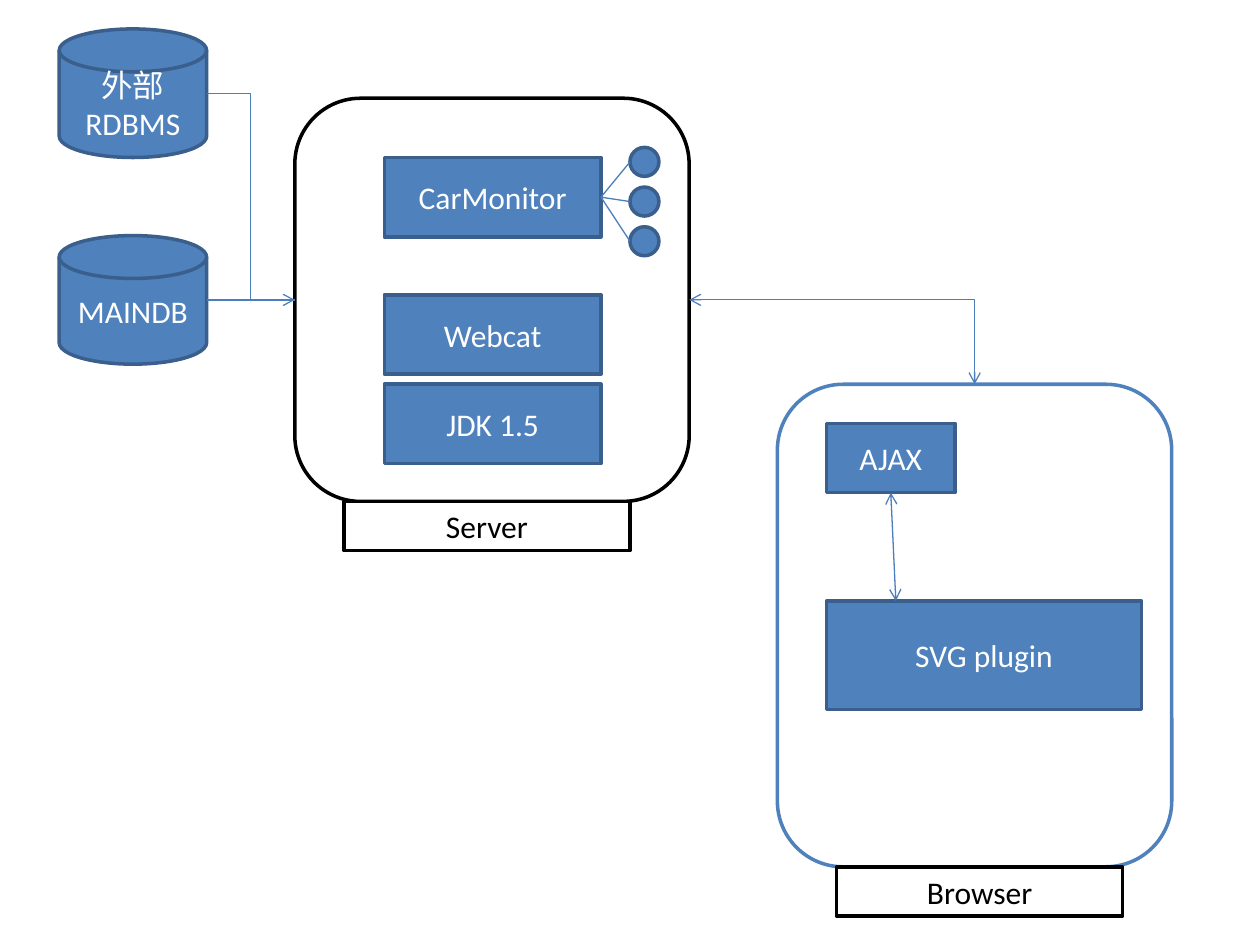
import pptx
import pptx.util
import pptx.dml.color
import pptx.enum.shapes
import pptx.enum.text
import pptx.oxml.ns
import lxml.etree

Inches, Pt = pptx.util.Inches, pptx.util.Pt
RGB = pptx.dml.color.RGBColor.from_string
MSO = pptx.enum.shapes.MSO_SHAPE
LINK = pptx.enum.shapes.MSO_CONNECTOR
qn = pptx.oxml.ns.qn

THEME = dict(font="Calibri", size=18, border=2, link_width=0.75, link="4B7EBC")
# style: fill, border, text
STYLES = dict(
    solid=("4F81BD", "3A5F8C", "FFFFFF"),
    plain=("FFFFFF", "000000", "000000"),
    frame=("FFFFFF", "4F81BD", "000000"),
)

# Content: boxes as (left, top, width, height)
SERVER = (2.34, 0.78, 3.13, 3.2)
BROWSER = (6.17, 3.05, 3.13, 3.83)
EXTERNAL_DB = (0.47, 0.23, 1.17, 1.02)
MAIN_DB = (0.47, 1.87, 1.17, 1.02)
MONITOR, WEB, JDK = [(3.05, top, 1.72, 0.63) for top in (1.25, 2.34, 3.05)]
AJAX = (6.56, 3.36, 1.02, 0.55)
PLUGIN = (6.56, 4.77, 2.5, 0.86)
CLIENTS = [(5, 1.17 + 0.315 * i, 0.23, 0.23) for i in range(3)]

SHAPES = [
    (MSO.ROUNDED_RECTANGLE, SERVER, "plain", ""),
    (MSO.ROUNDED_RECTANGLE, BROWSER, "frame", ""),
    (MSO.FLOWCHART_MAGNETIC_DISK, EXTERNAL_DB, "solid", "外部RDBMS"),
    (MSO.FLOWCHART_MAGNETIC_DISK, MAIN_DB, "solid", "MAINDB"),
    (MSO.RECTANGLE, MONITOR, "solid", "CarMonitor"),
    (MSO.RECTANGLE, WEB, "solid", "Webcat"),
    (MSO.RECTANGLE, JDK, "solid", "JDK 1.5"),
    (MSO.RECTANGLE, AJAX, "solid", "AJAX"),
    (MSO.RECTANGLE, PLUGIN, "solid", "SVG plugin"),
    (MSO.FLOWCHART_PROCESS, (2.73, 3.98, 2.27, 0.39), "plain", "Server"),
    (MSO.FLOWCHART_PROCESS, (6.64, 6.88, 2.27, 0.39), "plain", "Browser"),
] + [(MSO.OVAL, box, "solid", "") for box in CLIENTS]


def at(box, fx, fy):
    """Point at the given fractions of a box."""
    left, top, width, height = box
    return left + fx * width, top + fy * height


# Links: start, end, preset, arrow at start, arrow at end
LINKS = [
    (at(MAIN_DB, 1, 0.5), at(SERVER, 0, 0.5), "line", False, False),
    (at(EXTERNAL_DB, 1, 0.5), at(SERVER, 0, 0.5), "bentConnector3", False, True),
    (at(SERVER, 1, 0.5), at(BROWSER, 0.5, 0), "bentConnector2", True, True),
    (at(AJAX, 0.5, 1), at(PLUGIN, 0.22, 0), "line", True, True),
] + [(at(MONITOR, 1, 0.5), at(box, 0, 0.5), "line", False, False) for box in CLIENTS]


def add_box(slide, kind, box, style, text):
    fill, border, color = STYLES[style]
    sp = slide.shapes.add_shape(kind, *map(Inches, box))
    sp.shadow.inherit = False
    sp.fill.solid()
    sp.fill.fore_color.rgb = RGB(fill)
    sp.line.color.rgb = RGB(border)
    sp.line.width = Pt(THEME["border"])
    if text:
        tf = sp.text_frame
        tf.text = text
        tf.word_wrap = True
        tf.vertical_anchor = pptx.enum.text.MSO_ANCHOR.MIDDLE
        p = tf.paragraphs[0]
        p.alignment = pptx.enum.text.PP_ALIGN.CENTER
        font = p.runs[0].font
        font.name, font.size = THEME["font"], Pt(THEME["size"])
        font.color.rgb = RGB(color)


def add_link(slide, start, end, preset, head, tail):
    kind = LINK.STRAIGHT if preset == "line" else LINK.ELBOW
    cxn = slide.shapes.add_connector(kind, *map(Inches, start + end))
    cxn.line.color.rgb = RGB(THEME["link"])
    cxn.line.width = Pt(THEME["link_width"])
    props = cxn._element.spPr
    props.find(qn("a:prstGeom")).set("prst", preset)
    ln = cxn.line._get_or_add_ln()
    for tag, wanted in (("a:headEnd", head), ("a:tailEnd", tail)):
        if wanted:
            lxml.etree.SubElement(ln, qn(tag), type="arrow")
    lxml.etree.SubElement(props, qn("a:effectLst"))


prs = pptx.Presentation()
prs.slide_width, prs.slide_height = Inches(10), Inches(7.5)
s = prs.slides.add_slide(prs.slide_layouts[6])
for shape in SHAPES:
    add_box(s, *shape)
for link in LINKS:
    add_link(s, *link)
prs.save("out.pptx")
